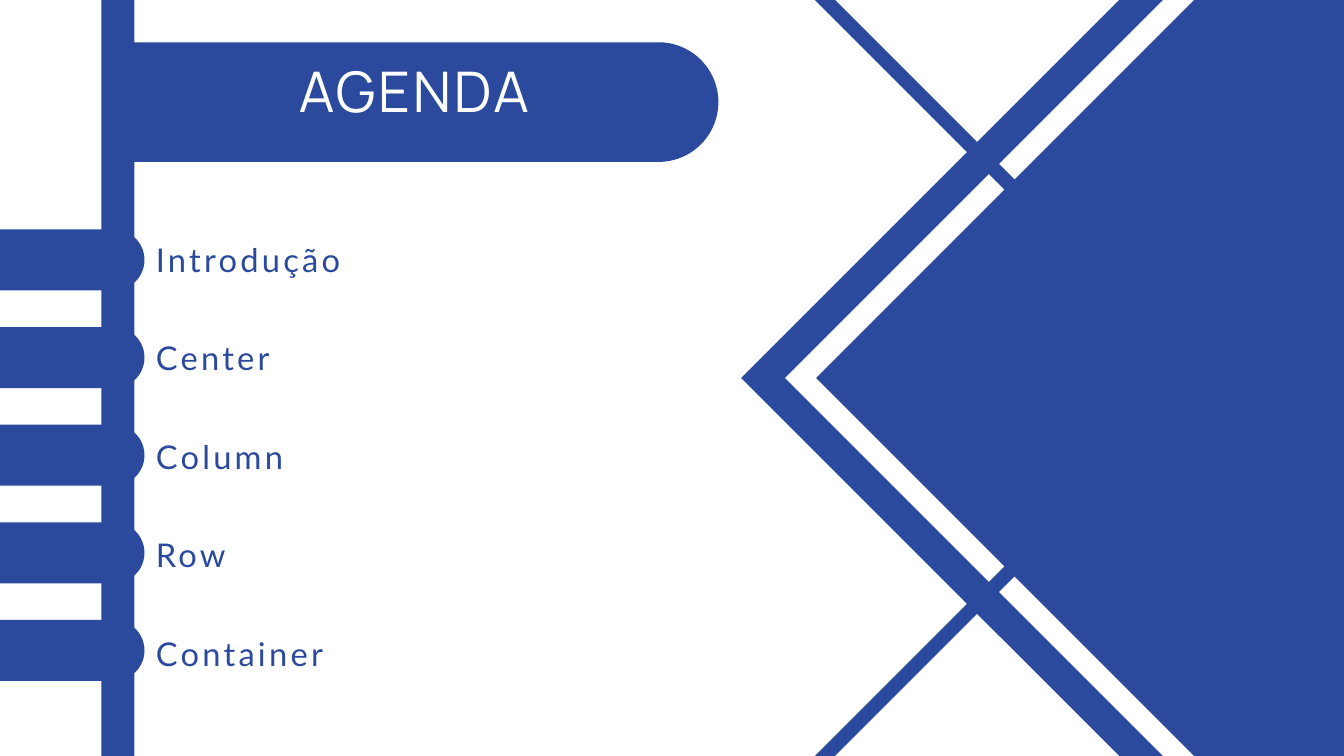
"""Build an agenda slide with tabbed items and a diamond motif."""
from pptx import Presentation
from pptx.dml.color import RGBColor as Rgb
from pptx.enum.shapes import MSO_SHAPE as Kind
from pptx.enum.text import MSO_AUTO_SIZE as Fit, PP_ALIGN as Align
from pptx.util import Pt

TITLE = "AGENDA"
ITEMS = ["Introdução", "Center", "Column", "Row", "Container"]
HUES = {"blue": "2B4A9D", "white": "FFFFFF"}

WIDE, HIGH = 1440, 810
MID = HIGH / 2
LEFT = 167
RIM = 0.0315
CROSS = 471.2

deck = Presentation()
deck.slide_width, deck.slide_height = Pt(WIDE), Pt(HIGH)
slide = deck.slides.add_slide(deck.slide_layouts[6])


def shape(kind, x, y, w, h, hue="blue", turn=0, bend=None):
    """Add a plain shape centred on x, y."""
    item = slide.shapes.add_shape(kind, Pt(x - w / 2), Pt(y - h / 2), Pt(w), Pt(h))
    item.rotation = turn
    item.shadow.inherit = False
    item.fill.solid()
    item.fill.fore_color.rgb = Rgb.from_string(HUES[hue])
    item.line.fill.background()
    if bend is not None:
        item.adjustments[0] = bend


def tab(x, y, wide, high):
    """Add a bar whose right end is round."""
    shape(Kind.ROUND_2_SAME_RECTANGLE, x, y, high, wide, turn=90, bend=0.5)


def text(words, x, y, w, h, size, font, lead, gap, hue="blue", align=Align.LEFT):
    """Add one line of text in a box without margins."""
    box = slide.shapes.add_textbox(Pt(x), Pt(y), Pt(w), Pt(h))
    frame = box.text_frame
    frame.word_wrap = True
    frame.auto_size = Fit.SHAPE_TO_FIT_TEXT
    frame.margin_left = frame.margin_right = 0
    frame.margin_top = frame.margin_bottom = 0
    para = frame.paragraphs[0]
    para.alignment, para.line_spacing = align, Pt(lead)
    run = para.add_run()
    run.text = words
    run.font.name, run.font.size = font, Pt(size)
    run.font.color.rgb = Rgb.from_string(HUES[hue])
    run.font._element.set("spc", str(int(gap * 100)))


shape(Kind.RECTANGLE, 126.4, MID, 35.3, HIGH)
shape(Kind.RECTANGLE, 1360.8, MID, 801.4, 801.4, turn=45)
shape(Kind.FRAME, 1364, MID, 739.4, 739.4, hue="white", turn=45, bend=RIM)
for side in (1, -1):
    shape(Kind.FRAME, 1150, MID + side * CROSS, 485.3, 485.3, turn=45, bend=RIM)

tab(456.5, 109.4, 626.4, 128.2)
text(TITLE, LEFT, 69.1, 553, 70.6, size=60, font="Manrope", lead=63, gap=3,
     hue="white", align=Align.CENTER)

for row, name in enumerate(ITEMS):
    tab(77.4, 278.5 + row * 104.6, 154.8, 65.3)
    text(name, LEFT, 249.8 + row * 105.5, 578, 47.5, size=35, font="Lato",
         lead=49, gap=3.5)

deck.save("out.pptx")
